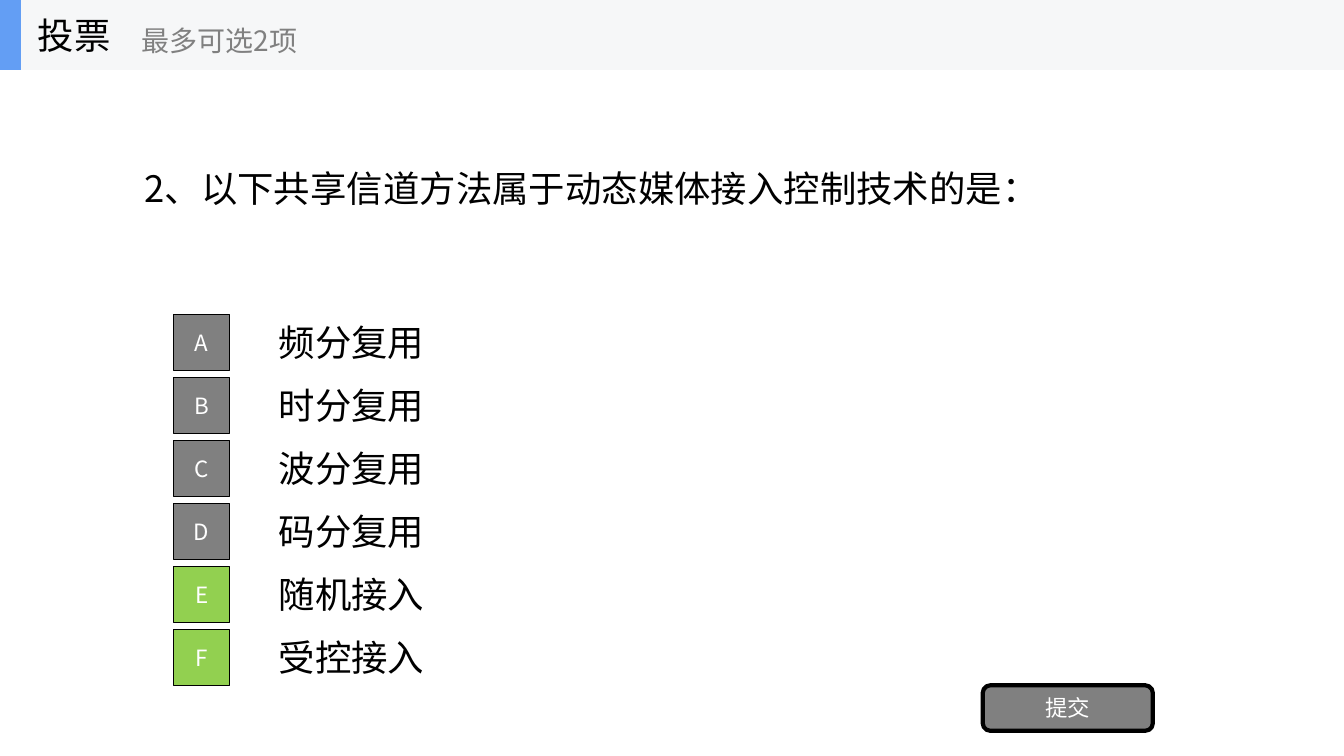
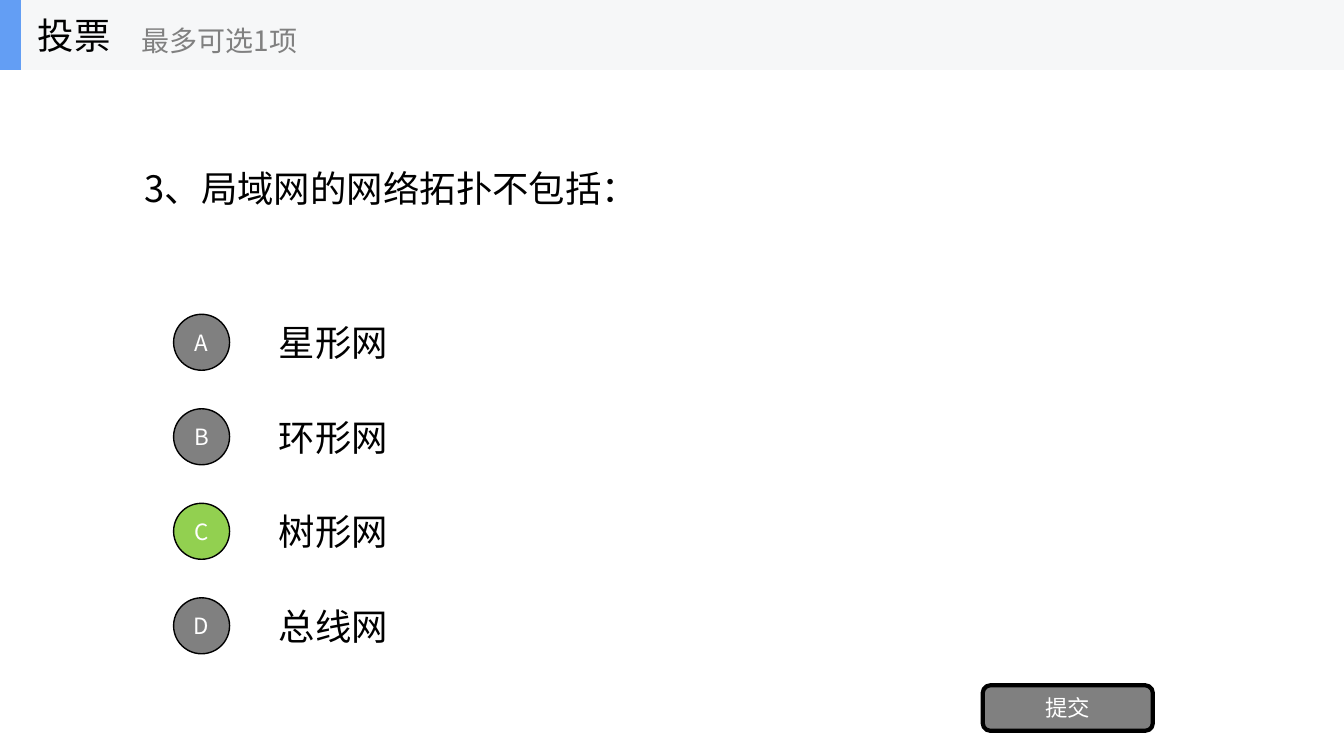
from lxml import etree
from pptx import Presentation
from pptx.dml.color import RGBColor
from pptx.enum import shapes, text
from pptx.oxml import ns
from pptx.util import Pt

BLACK = RGBColor(0x00, 0x00, 0x00)
WHITE = RGBColor(0xFF, 0xFF, 0xFF)
GRAY = RGBColor(0x80, 0x80, 0x80)
GREEN = RGBColor(0x92, 0xD0, 0x50)
BLUE = RGBColor(0x63, 0x9E, 0xF4)
BAND = RGBColor(0xF6, 0xF7, 0xF8)
FONT = "Noto Sans CJK SC"
WIDTH, HEIGHT = 960, 540
HEADER_HEIGHT = 50
ROW_HEIGHT, BADGE = 50, 40
SHAPE = shapes.MSO_SHAPE


def set_text(sp, words, size, color, align=text.PP_ALIGN.LEFT):
    """Put one formatted, vertically centred paragraph in a shape."""
    tf = sp.text_frame
    tf.text = words
    tf.word_wrap = True
    tf.auto_size = text.MSO_AUTO_SIZE.NONE
    tf.vertical_anchor = text.MSO_ANCHOR.MIDDLE
    p = tf.paragraphs[0]
    p.alignment = align
    for r in p.runs:
        r.font.size = Pt(size)
        r.font.color.rgb = color
        r.font.name = FONT
        etree.SubElement(r.font._element, ns.qn("a:ea"), typeface=FONT)


def add_label(parent, box, words, size, color=BLACK):
    """Add a left-aligned text box."""
    sp = parent.add_textbox(*map(Pt, box))
    set_text(sp, words, size, color)


def add_block(parent, kind, box, fill, line=0, words=""):
    """Add a filled shape with an optional black outline and centred text."""
    sp = parent.add_shape(kind, *map(Pt, box))
    sp.shadow.inherit = False
    sp.fill.solid()
    sp.fill.fore_color.rgb = fill
    if line:
        sp.line.color.rgb = BLACK
        sp.line.width = Pt(line)
    else:
        sp.line.fill.background()
    if words:
        set_text(sp, words, 16, WHITE, text.PP_ALIGN.CENTER)


def add_header(s, box, limit):
    """Draw the grouped header band with its heading and choice limit."""
    x, y, w, h = box
    band = s.shapes.add_group_shape().shapes
    add_block(band, SHAPE.RECTANGLE, box, BAND)
    add_block(band, SHAPE.RECTANGLE, (x, y, 15, h), BLUE)
    add_label(band, (x + 20, y, 150, h), "投票", 26)
    add_label(band, (x + 94, y + 9, 180, 40), f"最多可选{limit}项", 20, GRAY)


def add_options(s, box, step, kind, options, answers):
    """Stack lettered options, with the answers' badges in green."""
    x, y, w, _ = box
    inset = (ROW_HEIGHT - BADGE) / 2
    for i, option in enumerate(options):
        top = y + i * step
        letter = "ABCDEF"[i]
        add_label(s.shapes, (x + 68, top, w - 68, ROW_HEIGHT), option, 26)
        add_block(s.shapes, kind, (x, top + inset, BADGE, BADGE),
                  GREEN if letter in answers else GRAY, 1, letter)


def add_poll(prs, question, options, answers, step, kind):
    """Build one poll slide."""
    s = prs.slides.add_slide(prs.slide_layouts[5])
    title = s.shapes.title
    title.left, title.top, title.width, title.height = map(
        Pt, (96, HEADER_HEIGHT, 768, 168))
    set_text(title, question, 26, BLACK)
    add_options(s, (124, 219.5, 740, 275), step, kind, options, answers)
    add_block(s.shapes, SHAPE.ROUNDED_RECTANGLE, (702, 489.5, 121.5, 32.5),
              GRAY, 3, "提交")
    add_header(s, (0, 0, WIDTH, HEADER_HEIGHT), len(answers))


def main():
    """Build and save the presentation."""
    prs = Presentation()
    prs.slide_width, prs.slide_height = Pt(WIDTH), Pt(HEIGHT)
    add_poll(prs, "2、以下共享信道方法属于动态媒体接入控制技术的是：",
             ["频分复用", "时分复用", "波分复用", "码分复用", "随机接入", "受控接入"],
             "EF", 45, SHAPE.RECTANGLE)
    add_poll(prs, "3、局域网的网络拓扑不包括：",
             ["星形网", "环形网", "树形网", "总线网"],
             "C", 67.5, SHAPE.OVAL)
    prs.save("out.pptx")


if __name__ == "__main__":
    main()
